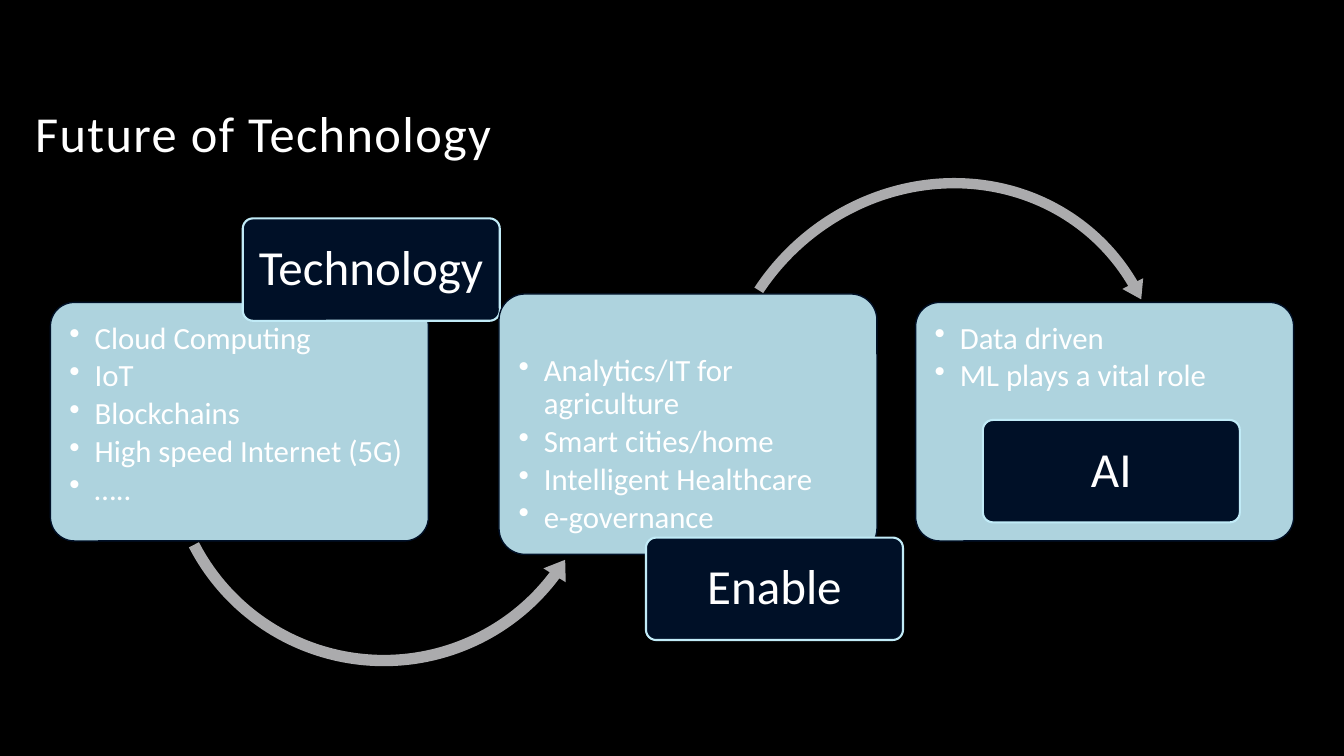
"""Build the "Future of Technology" slide: three linked cards with tags."""
from lxml import etree
from pptx import Presentation
from pptx import util as u
from pptx.dml.color import RGBColor
from pptx.enum import shapes, text
from pptx.oxml.ns import qn

THEME = {
    "background": "000000", "text": "FFFFFF", "navy": "001027",
    "ice": "C1EBF7", "arrow": "ABABAD", "font": "Calibri",
    "title": 36, "tag": 35, "bullet": 22,
}
SHAPE = shapes.MSO_SHAPE

presentation = Presentation()
presentation.slide_width = u.Inches(13.333)
presentation.slide_height = u.Inches(7.5)
slide = presentation.slides.add_slide(presentation.slide_layouts[6])
slide.background.fill.solid()
slide.background.fill.fore_color.rgb = RGBColor.from_string(THEME["background"])
CELL = presentation.slide_height / 90


def add_box(kind, place, fill, line=None, width=0):
    """Draw a filled preset shape at a place given in grid cells."""
    shape = slide.shapes.add_shape(kind, *(round(n * CELL) for n in place))
    shape.shadow.inherit = False
    shape.fill.solid()
    shape.fill.fore_color.rgb = RGBColor.from_string(THEME[fill])
    if line:
        shape.adjustments[0] = 0.1
        shape.line.color.rgb = RGBColor.from_string(THEME[line])
        shape.line.width = u.Pt(width)
    else:
        shape.line.fill.background()
    return shape


def write(shape, words, size, insets, anchor, align, after=0):
    """Fill a shape with styled paragraphs; insets are in inches."""
    frame = shape.text_frame
    frame.text = words
    frame.word_wrap = True
    frame.vertical_anchor = anchor
    frame.margin_left = frame.margin_right = u.Inches(insets[0])
    frame.margin_top, frame.margin_bottom = map(u.Inches, insets[1:])
    for paragraph in frame.paragraphs:
        paragraph.alignment = align
        paragraph.line_spacing = 0.9
        paragraph.space_after = u.Pt(after)
        for run in paragraph.runs:
            run.font.name = THEME["font"]
            run.font.size = u.Pt(THEME[size])
            run.font.color.rgb = RGBColor.from_string(THEME["text"])
    return frame.paragraphs


title = slide.shapes.add_textbox(*(round(n * CELL) for n in (3, 2, 120, 18)))
heading = write(title, "Future of Technology", "title", (0.1, 0.05, 0.05),
                text.MSO_ANCHOR.BOTTOM, text.PP_ALIGN.LEFT)[0]
heading.runs[0].font._element.set("spc", "100")

steps = [
    {"card": (6, 36, 45, 28.4), "top": 0.13,
     "bullets": ["Cloud Computing", "IoT", "Blockchains", "High speed Internet (5G)", "….."],
     "tag": "Technology", "tag_at": (28.9, 26),
     "arrow": (SHAPE.LEFT_CIRCULAR_ARROW, (18.7, 26.2, 54, 54), 315,
               (0.025, 3.022, 49.164, 118.632, 0.029))},
    {"card": (59.4, 35, 45, 31), "top": 0.53,
     "bullets": ["Analytics/IT for agriculture", "Smart cities/home",
                 "Intelligent Healthcare", "e-governance"],
     "tag": "Enable", "tag_at": (76.9, 64),
     "arrow": (SHAPE.CIRCULAR_ARROW, (85.2, 19.6, 53.6, 56.8), 46,
               (0.023, 2.726, 169.248, 99.484, 0.026))},
    {"card": (109, 36, 45, 28.4), "top": 0.13,
     "bullets": ["Data driven", "ML plays a vital role"],
     "tag": "AI", "tag_at": (117, 50), "arrow": None},
]

for step in steps:
    card = add_box(SHAPE.ROUNDED_RECTANGLE, step["card"], "ice", "navy", 1)
    color = card.fill._xPr.find(qn("a:solidFill"))[0]
    etree.SubElement(color, qn("a:alpha"), val="90000")
    bullets = write(card, "\n".join(step["bullets"]), "bullet", (0.12, step["top"], 0),
                    text.MSO_ANCHOR.TOP, text.PP_ALIGN.LEFT, 3.3)
    for paragraph in bullets:
        properties = paragraph._p.get_or_add_pPr()
        properties.set("marL", str(u.Inches(0.25)))
        properties.set("indent", str(u.Inches(-0.25)))
        etree.SubElement(properties, qn("a:buChar"), char="•")

    if step["arrow"]:
        kind, place, rotation, adjustments = step["arrow"]
        arrow = add_box(kind, place, "arrow")
        arrow.rotation = rotation
        for index, value in enumerate(adjustments):
            arrow.adjustments[index] = value

    tag = add_box(SHAPE.ROUNDED_RECTANGLE, (*step["tag_at"], 30.6, 12.2), "navy", "ice", 1.5)
    write(tag, step["tag"], "tag", (0.07, 0.05, 0.05),
          text.MSO_ANCHOR.MIDDLE, text.PP_ALIGN.CENTER)

presentation.save("out.pptx")
